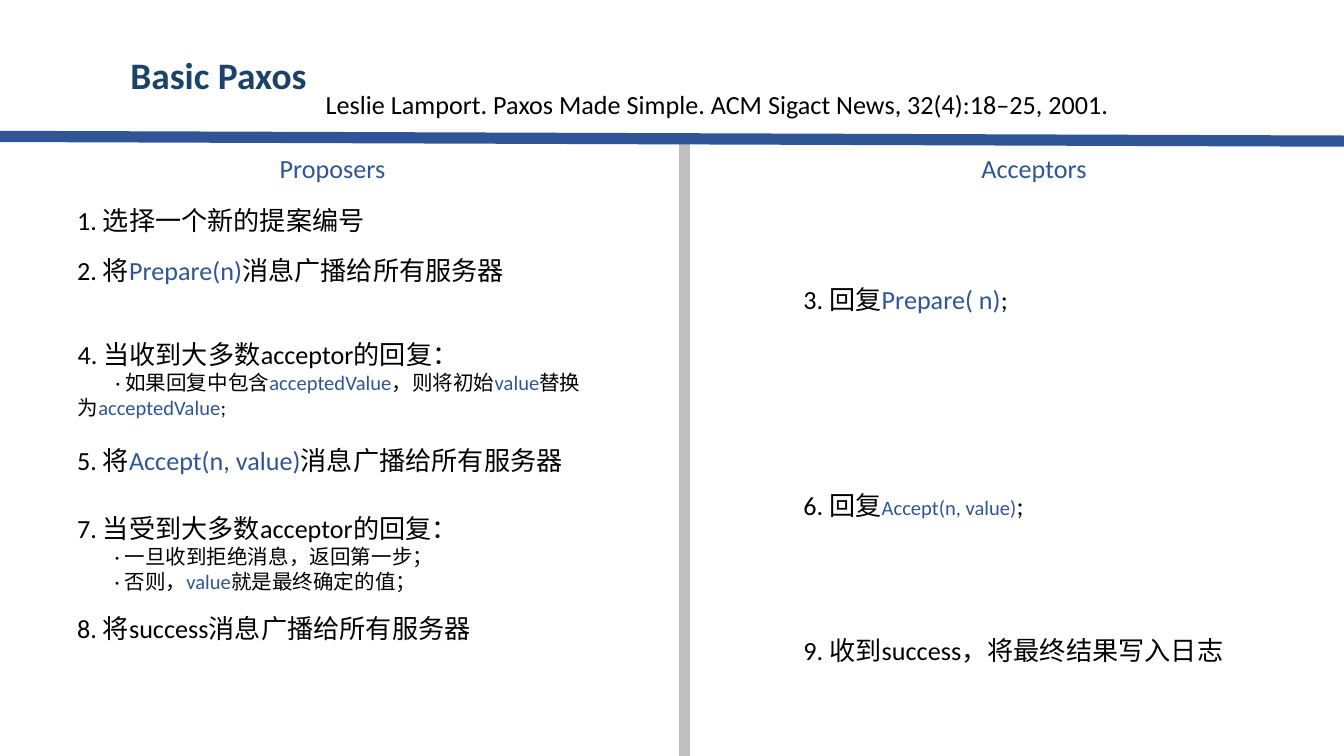
import pptx
import pptx.dml.color
import pptx.enum.shapes
import pptx.enum.text
import pptx.oxml
import pptx.oxml.ns
import pptx.util
from dataclasses import dataclass

PX = 4572
PAGE_WIDTH, PAGE_HEIGHT = 2000, 1125
BLACK, BLUE, GRAY, NAVY = "000000", "2F5597", "BFBFBF", "1B4367"
LEFT, RIGHT = 95, 1176
STEP_WIDTH = 800
LINE_HEIGHT = 67
DETAIL_INDENT = 56
ALIGN = pptx.enum.text.PP_ALIGN


@dataclass(frozen=True)
class Span:
    text: str
    color: str = BLACK
    size: int = 14


@dataclass(frozen=True)
class Line:
    spans: tuple[Span, ...]
    indent: int = 0


@dataclass(frozen=True)
class Step:
    left: int
    top: int
    lines: tuple[Line, ...]
    height: int = LINE_HEIGHT


@dataclass(frozen=True)
class Rule:
    start: tuple[int, int]
    end: tuple[int, int]
    color: str


def px(length: int) -> pptx.util.Emu:
    return pptx.util.Emu(length * PX)


def rgb(color: str) -> pptx.dml.color.RGBColor:
    return pptx.dml.color.RGBColor.from_string(color)


def step_line(*parts: str | Span) -> Line:
    return Line(tuple(Span(part) if isinstance(part, str) else part for part in parts))


def detail_line(*parts: str | Span) -> Line:
    spans = tuple(
        Span(part, size=11) if isinstance(part, str) else Span(part.text, part.color, 11)
        for part in parts
    )
    return Line(spans, DETAIL_INDENT)


def blue(text: str, size: int = 14) -> Span:
    return Span(text, BLUE, size)


def write_span(para, text: str, *, size: int = 14, color: str = BLACK, bold: bool = False) -> None:
    span = para.add_run()
    span.text = text
    span.font.name = "Calibri"
    span.font.size = pptx.util.Pt(size)
    span.font.bold = bold
    span.font.color.rgb = rgb(color)


def write_lines(box, lines: tuple[Line, ...], align=ALIGN.LEFT, bold: bool = False) -> None:
    frame = box.text_frame
    frame.word_wrap = True
    frame.auto_size = pptx.enum.text.MSO_AUTO_SIZE.SHAPE_TO_FIT_TEXT
    frame.vertical_anchor = pptx.enum.text.MSO_ANCHOR.TOP
    for index, line in enumerate(lines):
        para = frame.add_paragraph() if index else frame.paragraphs[0]
        para.alignment = align
        if line.indent:
            properties = para._p.get_or_add_pPr()
            properties.set("marL", "0")
            properties.set("indent", str(px(line.indent)))
        for span in line.spans:
            write_span(para, span.text, size=span.size, color=span.color, bold=bold)


def draw_rule(page, rule: Rule) -> None:
    connector = page.shapes.add_connector(
        pptx.enum.shapes.MSO_CONNECTOR.STRAIGHT, *map(px, rule.start + rule.end)
    )
    connector.line.color.rgb = rgb(rule.color)
    connector.line.width = pptx.util.Pt(6)
    connector._element.spPr.append(
        pptx.oxml.parse_xml(f"<a:effectLst {pptx.oxml.ns.nsdecls('a')}/>")
    )


def draw_text(page, left: int, top: int, width: int, height: int,
              lines: tuple[Line, ...], align=ALIGN.LEFT) -> None:
    box = page.shapes.add_textbox(px(left), px(top), px(width), px(height))
    write_lines(box, lines, align)


def draw_title(page, text: str) -> None:
    title = page.shapes.title
    title.left, title.top, title.width, title.height = map(px, (186, 74, 314, 76))
    frame = title.text_frame
    frame.margin_left = frame.margin_right = px(8)
    frame.margin_top = frame.margin_bottom = px(4)
    write_lines(title, (step_line(Span(text, NAVY, 20)),), bold=True)


RULES = (
    Rule((1019, 200), (1019, PAGE_HEIGHT), GRAY),
    Rule((0, 203), (PAGE_WIDTH, 210), BLUE),
)
HEADINGS = {"Proposers": 342, "Acceptors": 1386}
STEPS = (
    Step(LEFT, 294, (step_line("1. 选择一个新的提案编号"),)),
    Step(LEFT, 369, (step_line("2. 将", blue("Prepare(n)"), "消息广播给所有服务器"),)),
    Step(RIGHT, 412, (step_line("3. 回复", blue("Prepare( n)"), ";"),)),
    Step(LEFT + 1, 494, (
        step_line("4. 当收到大多数acceptor的回复："),
        detail_line("· 如果回复中包含", blue("acceptedValue"), "，则将初始", blue("value"),
                    "替换为", blue("acceptedValue"), ";"),
    ), 143),
    Step(LEFT, 652, (step_line("5. 将", blue("Accept(n, value)"), "消息广播给所有服务器"),)),
    Step(RIGHT, 719, (step_line("6. 回复", blue("Accept(n, value)", 11), ";"),)),
    Step(LEFT, 753, (
        step_line("7. 当受到大多数acceptor的回复："),
        detail_line("· 一旦收到拒绝消息，返回第一步；"),
        detail_line("· 否则，", blue("value"), "就是最终确定的值；"),
    ), 142),
    Step(LEFT, 902, (step_line("8. 将success消息广播给所有服务器"),)),
    Step(RIGHT, 934, (step_line("9. 收到success，将最终结果写入日志"),)),
)
CITATION = "Leslie Lamport. Paxos Made Simple. ACM Sigact News, 32(4):18–25, 2001."


def main() -> None:
    deck = pptx.Presentation()
    deck.slide_width, deck.slide_height = px(PAGE_WIDTH), px(PAGE_HEIGHT)
    page = deck.slides.add_slide(deck.slide_layouts.get_by_name("Title Only"))
    for rule in RULES:
        draw_rule(page, rule)
    draw_title(page, "Basic Paxos")
    draw_text(page, 465, 122, 1535, LINE_HEIGHT, (step_line(CITATION),))
    for heading, left in HEADINGS.items():
        draw_text(page, left, 217, 306, LINE_HEIGHT, (step_line(blue(heading)),), ALIGN.CENTER)
    for step in STEPS:
        draw_text(page, step.left, step.top, STEP_WIDTH, step.height, step.lines)
    deck.save("out.pptx")


if __name__ == "__main__":
    main()
